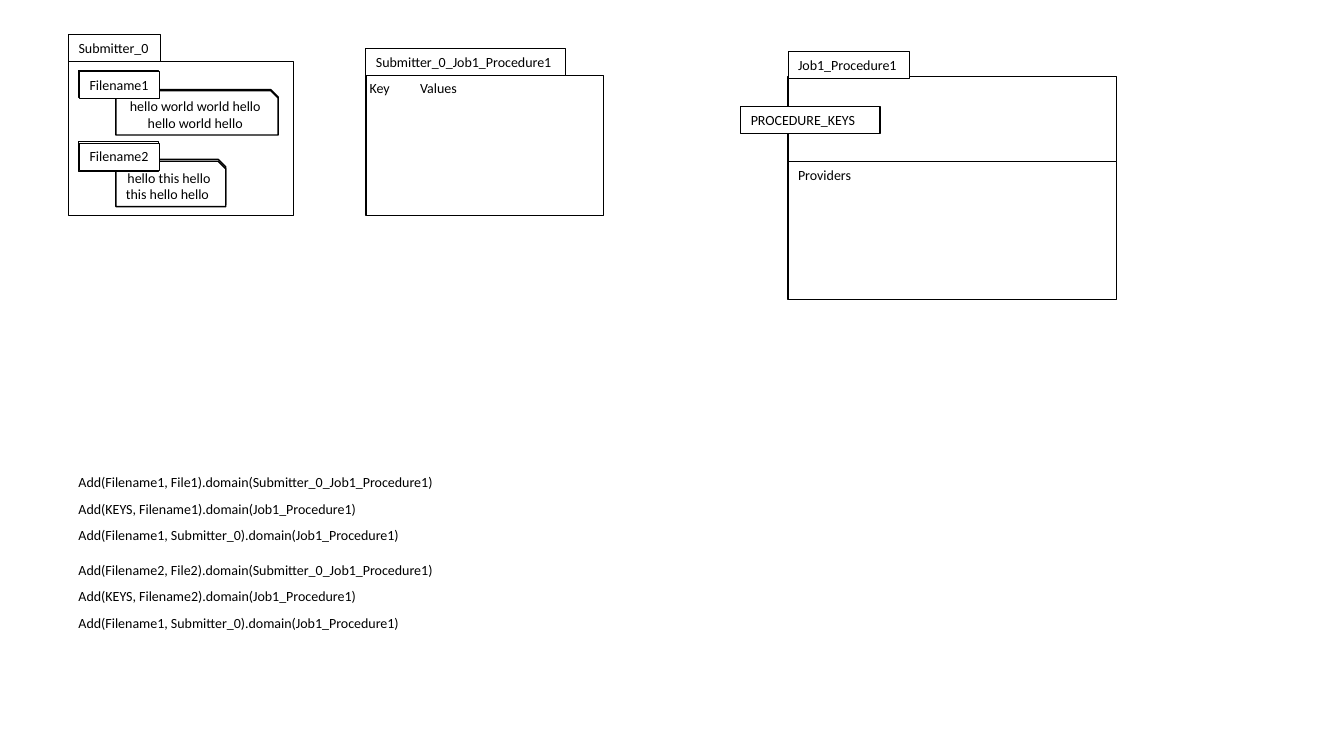
from pptx import Presentation
from pptx.dml.color import RGBColor
from pptx.enum.shapes import MSO_SHAPE as Shape
from pptx.enum.text import MSO_ANCHOR as Anchor, MSO_AUTO_SIZE as AutoSize, PP_ALIGN as Align
from pptx.util import Pt

BLACK = RGBColor(0, 0, 0)
WHITE = RGBColor(255, 255, 255)
FONT, TEXT_SIZE = "Calibri", 10
LABEL_HEIGHT = 19.4
THIN, MEDIUM = 0.75, 1

# Frames: left, top, width, height
FRAMES = [
    (563, 54.7, 234.7, 60.5),
    (563, 115.2, 234.7, 98.6),
    (261.4, 54, 169.9, 100.1),
    (49, 43.9, 160.6, 110.2),
]
# Bordered labels: text, left, top, width, wraps
TABS = [
    ("Job1_Procedure1", 563, 36.7, 86.4, False),
    ("PROCEDURE_KEYS", 529.2, 76.3, 99.4, True),
    ("Submitter_0_Job1_Procedure1", 261.4, 34.6, 142.6, False),
    ("Submitter_0", 49, 24.5, 65.5, False),
]
# Plain labels: text, left, top, width, wraps
CAPTIONS = [
    ("Providers", 563, 115.2, 53.3, False),
    ("Key\tValues", 257, 53.3, 162.7, True),
]
# Files: the sheet and its name are stacks of slightly shifted outlines, back to front
FILES = [
    {"name": "Filename1", "content": "hello world world hello hello world hello",
     "sheet_tops": (64.1, 64.8), "sheet_size": (115.9, 31.7),
     "name_corners": ((56.2, 50.4), (56.9, 51.1))},
    {"name": "Filename2", "content": "hello this hello this hello hello ",
     "sheet_tops": (113.8, 115.2), "sheet_size": (78.5, 32.4),
     "name_corners": ((56.2, 100.8), (56.2, 103), (56.9, 102.2))},
]
SHEET_LEFT, NAME_WIDTH = 82.8, 56.9

# Command groups: top, then text and width of each line
COMMANDS = [
    (334.8, [("Add(Filename1, File1).domain(Submitter_0_Job1_Procedure1)", 276.5),
             ("Add(KEYS, Filename1).domain(Job1_Procedure1)", 216),
             ("Add(Filename1, Submitter_0).domain(Job1_Procedure1)", 252)]),
    (397.4, [("Add(Filename2, File2).domain(Submitter_0_Job1_Procedure1)", 271.4),
             ("Add(KEYS, Filename2).domain(Job1_Procedure1)", 216),
             ("Add(Filename1, Submitter_0).domain(Job1_Procedure1)", 252)]),
]
COMMAND_LEFT, COMMAND_PITCH = 49, 19


def write(box, text, wraps=True, align=Align.LEFT, anchor=Anchor.TOP, grows=True):
    """Put one run of black text into a box."""
    frame = box.text_frame
    frame.word_wrap = wraps
    frame.vertical_anchor = anchor
    frame.auto_size = AutoSize.SHAPE_TO_FIT_TEXT if grows else AutoSize.NONE
    para = frame.paragraphs[0]
    para.alignment = align
    span = para.add_run()
    span.text = text
    span.font.name = FONT
    span.font.size = Pt(TEXT_SIZE)
    span.font.color.rgb = BLACK


def add_outline(page, left, top, width, height, weight=MEDIUM, kind=Shape.RECTANGLE):
    """Add a white shape with a black line."""
    box = page.shapes.add_shape(kind, Pt(left), Pt(top), Pt(width), Pt(height))
    box.shadow.inherit = False
    box.fill.solid()
    box.fill.fore_color.rgb = WHITE
    box.line.color.rgb = BLACK
    box.line.width = Pt(weight)
    return box


def add_tab(page, text, left, top, width, wraps=False):
    """Add a bordered label."""
    write(add_outline(page, left, top, width, LABEL_HEIGHT, THIN), text, wraps)


def add_caption(page, text, left, top, width, wraps=False):
    """Add a label without border."""
    box = page.shapes.add_textbox(Pt(left), Pt(top), Pt(width), Pt(LABEL_HEIGHT))
    write(box, text, wraps)


def add_file(page, file):
    """Add a file sheet with its name over the corner; only the front of each stack has text."""
    for top in file["sheet_tops"]:
        sheet = add_outline(page, SHEET_LEFT, top, *file["sheet_size"],
                            kind=Shape.SNIP_1_RECTANGLE)
    write(sheet, file["content"], align=Align.CENTER, anchor=Anchor.MIDDLE, grows=False)
    for left, top in file["name_corners"][:-1]:
        add_outline(page, left, top, NAME_WIDTH, LABEL_HEIGHT, THIN)
    add_tab(page, file["name"], *file["name_corners"][-1], NAME_WIDTH)


deck = Presentation()
deck.slide_width, deck.slide_height = Pt(960), Pt(540)
page = deck.slides.add_slide(deck.slide_layouts[6])

for frame_place in FRAMES:
    add_outline(page, *frame_place)
for tab in TABS:
    add_tab(page, *tab)
for caption in CAPTIONS:
    add_caption(page, *caption)
for file in FILES:
    add_file(page, file)
for group_top, commands in COMMANDS:
    for row, (command, width) in enumerate(commands):
        add_caption(page, command, COMMAND_LEFT, group_top + row * COMMAND_PITCH, width)

deck.save("out.pptx")
